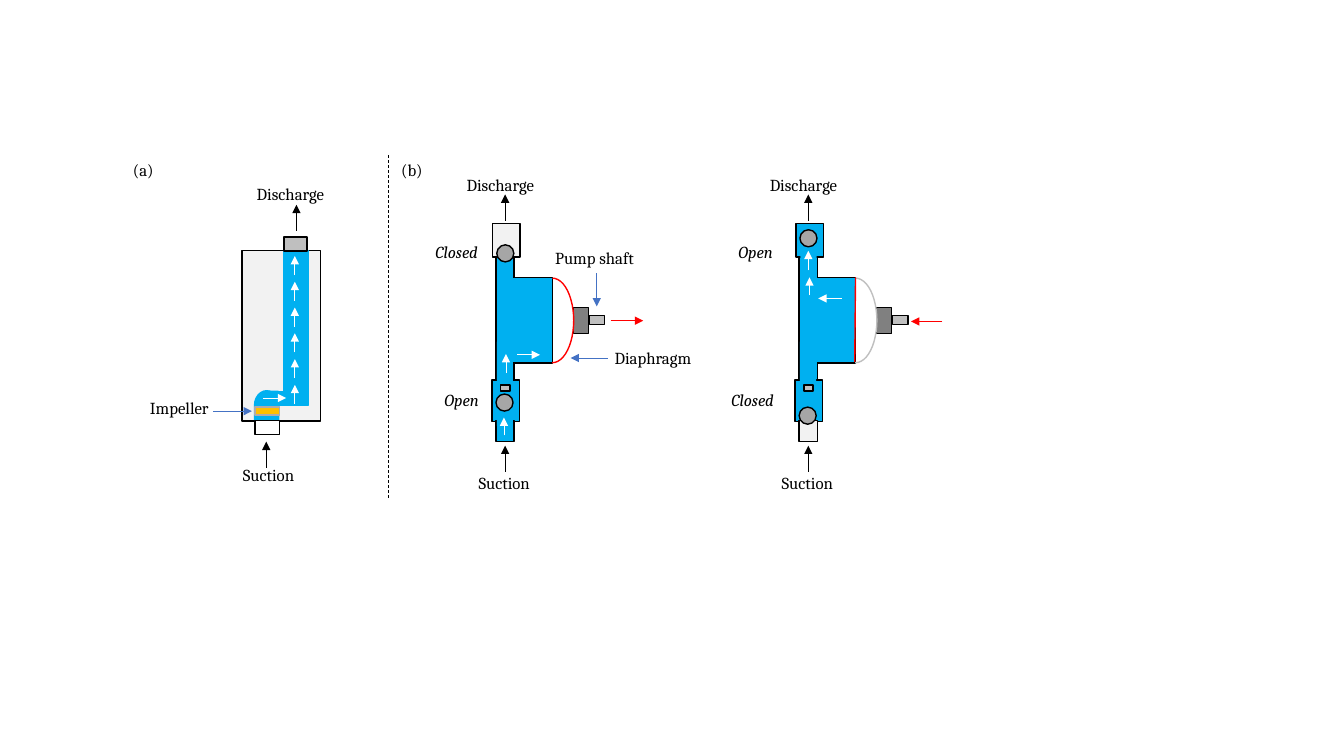
from lxml import etree
from pptx import Presentation
from pptx import util as u
from pptx.dml.color import RGBColor
from pptx.enum import dml, shapes, text
from pptx.oxml.ns import qn

COLOURS = {
    "water": "00B0F0", "empty": "F2F2F2", "white": "FFFFFF", "black": "000000",
    "steel": "BFBFBF", "ball": "A6A6A6", "flange": "808080", "edge": "AFABAB",
    "impeller": "FFC000", "pointer": "4472C4", "red": "FF0000",
}
RGB = {name: RGBColor.from_string(value) for name, value in COLOURS.items()}
KIND = shapes.MSO_SHAPE

deck = Presentation()
deck.slide_width, deck.slide_height = u.Cm(33.87), u.Cm(19.05)
page = deck.slides.add_slide(deck.slide_layouts[6])


def add_part(kind, left, top, width, height, fill, line="black"):
    part = page.shapes.add_shape(kind, *map(u.Cm, (left, top, width, height)))
    part.shadow.inherit = False
    for paint, colour in ((part.fill, fill), (part.line.fill, line)):
        if colour:
            paint.solid()
            paint.fore_color.rgb = RGB[colour]
        else:
            paint.background()
    if line:
        part.line.width = u.Pt(1)
    return part


def add_line(x1, y1, x2, y2, colour, width=0.5, arrow=True):
    line = page.shapes.add_connector(
        shapes.MSO_CONNECTOR.STRAIGHT, *map(u.Cm, (x1, y1, x2, y2)))
    line.line.color.rgb = RGB[colour]
    line.line.width = u.Pt(width)
    if arrow:
        etree.SubElement(line.line._get_or_add_ln(), qn("a:tailEnd"), type="triangle")
    etree.SubElement(line._element.spPr, qn("a:effectLst"))
    return line


# Centrifugal pump (a): casing, bend, riser and ports
add_part(KIND.RECTANGLE, 6.1, 6.32, 1.98, 4.29, "empty")
for left, top, width, turn in ((6.35, 9.91, 0.74, 270), (6.48, 9.86, 0.53, 180)):
    bend = add_part(KIND.FLOWCHART_DELAY, left, top, width, 0.61, "water", "water")
    bend.rotation = turn
for left, top, width, height, fill, line in (
    (7.16, 6.32, 0.61, 3.89, "water", "water"),
    (7.01, 9.86, 0.74, 0.36, "water", "water"),
    (7.16, 5.97, 0.58, 0.36, "steel", "black"),
    (6.43, 10.59, 0.61, 0.36, "white", "black"),
    (6.43, 10.26, 0.61, 0.2, "impeller", "edge"),
):
    add_part(KIND.RECTANGLE, left, top, width, height, fill, line)

# Flow through pump (a)
add_line(6.71, 11.79, 6.71, 11.13, "black")
add_line(7.47, 5.82, 7.47, 5.16, "black")
add_line(5.38, 10.36, 6.35, 10.36, "pointer")
add_line(6.63, 10.03, 7.21, 10.03, "white")
for step in range(6):
    tail = 6.93 + 0.65 * step
    add_line(7.43, tail, 7.43, tail - 0.48, "white")

# Divider between the two pump types
divider = add_line(9.78, 3.91, 9.78, 12.55, "black", arrow=False)
divider.line.dash_style = dml.MSO_LINE.DASH

labels = [
    ("(a)", 3.1, 3.91, 2.31, False),
    ("(b)", 9.86, 3.91, 2.31, False),
    ("Suction", 5.87, 11.58, 1.9, False),
    ("Discharge", 6.22, 4.5, 2.46, False),
    ("Impeller", 3.53, 9.91, 2.31, False),
    ("Diaphragm", 15.24, 8.64, 3.15, False),
    ("Pump shaft", 13.74, 6.12, 3.15, False),
]

# Diaphragm pump (b): the suction stroke, then the discharge stroke
strokes = (
    dict(shift=0, outlet="empty", inlet="water", stem=2.13, diaphragm="red",
         outlet_ball=6.17, inlet_ball=9.93,
         outlet_state="Closed", inlet_state="Open", inlet_label=10.95),
    dict(shift=7.64, outlet="water", inlet="empty", stem=1.96, diaphragm="steel",
         outlet_ball=5.79, inlet_ball=10.26,
         outlet_state="Open", inlet_state="Closed", inlet_label=10.54),
)
for stroke in strokes:
    shift = stroke["shift"]
    for left, top, width, height, fill, line in (
        (12.5, 6.48, 0.46, 3.1, "water", "black"),
        (12.4, 9.58, 0.69, 1.04, "water", "black"),
        (12.42, 5.64, 0.69, 0.84, stroke["outlet"], "black"),
        (12.98, 6.99, 0.94, 2.16, "water", "black"),
        (12.5, 10.59, 0.46, 0.53, stroke["inlet"], "black"),
        (12.9, 7.01, 0.33, 2.11, "water", None),
        (12.52, 8.61, 0.41, stroke["stem"], "water", None),
        (12.62, 9.7, 0.23, 0.15, "steel", "black"),
        (14.45, 7.75, 0.38, 0.66, "flange", "black"),
        (14.86, 7.95, 0.38, 0.23, "steel", "black"),
    ):
        add_part(KIND.RECTANGLE, left + shift, top, width, height, fill, line)
    if stroke["outlet"] == "water":
        add_part(KIND.RECTANGLE, 12.53 + shift, 6.15, 0.41, 2.13, "water", None)
    for left, top in ((12.52, stroke["outlet_ball"]), (12.5, stroke["inlet_ball"])):
        add_part(KIND.OVAL, left + shift, top, 0.43, 0.43, "ball")
    diaphragm = add_part(
        KIND.ARC, 13.39 + shift, 7.01, 1.07, 2.13, None, stroke["diaphragm"])
    diaphragm.adjustments[0], diaphragm.adjustments[1] = 162, 54.34
    for tail, head in ((11.89, 11.23), (5.56, 4.9)):
        add_line(12.73 + shift, tail, 12.73 + shift, head, "black")
    labels += [
        ("Suction", 11.81 + shift, 11.79, 1.9, False),
        ("Discharge", 11.51 + shift, 4.27, 2.46, False),
        (stroke["outlet_state"], 10.72 + shift, 5.97, 1.9, True),
        (stroke["inlet_state"], stroke["inlet_label"] + shift, 9.7, 1.9, True),
    ]

# Pointers, shaft movement and flow in pump (b)
add_line(21.56, 6.99, 21.54, 9.12, "red", 1, arrow=False)
for x1, y1, x2, y2, colour in (
    (15.32, 9.02, 14.38, 9.02, "pointer"),
    (15.04, 6.88, 15.04, 7.72, "pointer"),
    (15.39, 8.08, 16.21, 8.08, "red"),
    (13.03, 8.94, 13.61, 8.94, "white"),
    (12.7, 10.97, 12.7, 10.52, "white"),
    (12.75, 9.4, 12.75, 8.92, "white"),
    (23.75, 8.1, 22.96, 8.1, "red"),
    (21.21, 7.52, 20.62, 7.52, "white"),
    (20.37, 6.81, 20.37, 6.32, "white"),
    (20.4, 7.44, 20.4, 6.99, "white"),
):
    add_line(x1, y1, x2, y2, colour)

# Labels
for words, left, top, width, italic in labels:
    box = page.shapes.add_textbox(*map(u.Cm, (left, top, width, 0.76)))
    box.text_frame.word_wrap = True
    box.text_frame.auto_size = text.MSO_AUTO_SIZE.SHAPE_TO_FIT_TEXT
    span = box.text_frame.paragraphs[0].add_run()
    span.text = words
    span.font.color.rgb = RGB["black"]
    for name, value in dict(name="Cambria", size=u.Pt(12), italic=italic).items():
        setattr(span.font, name, value)

deck.save("out.pptx")
